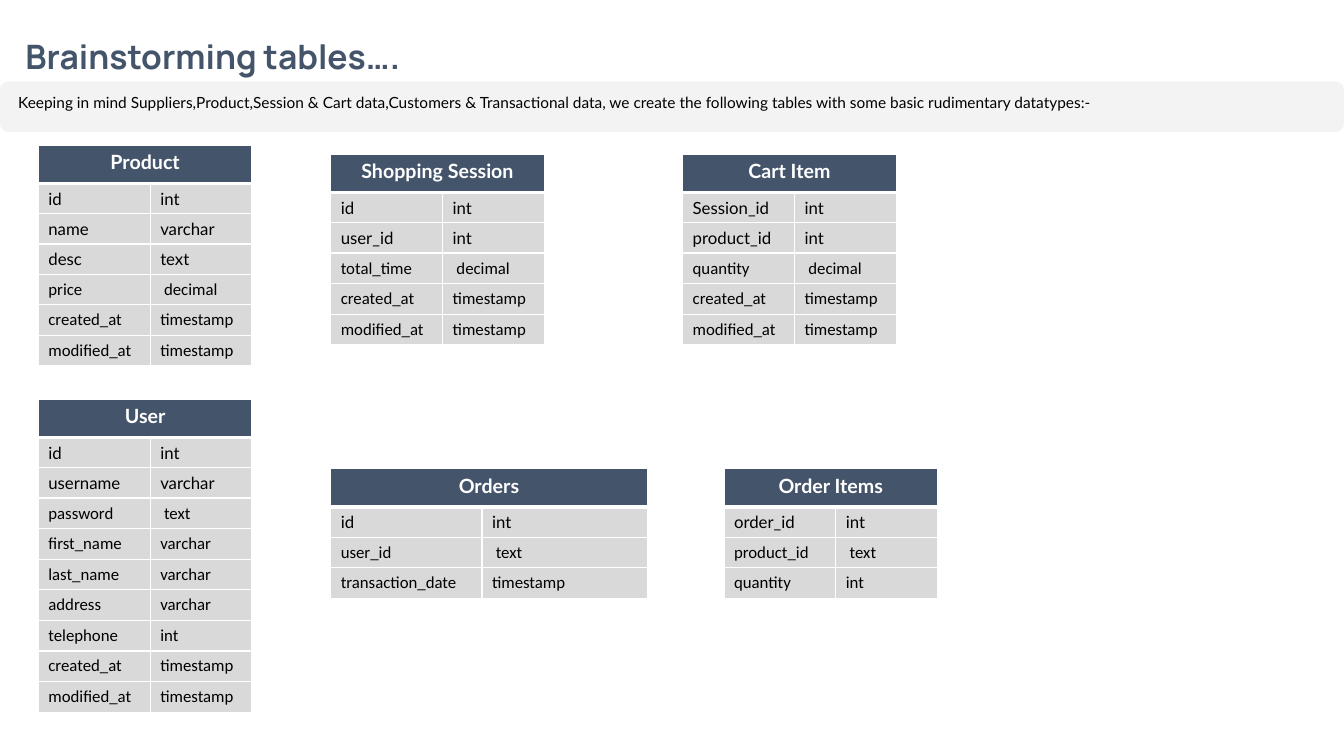
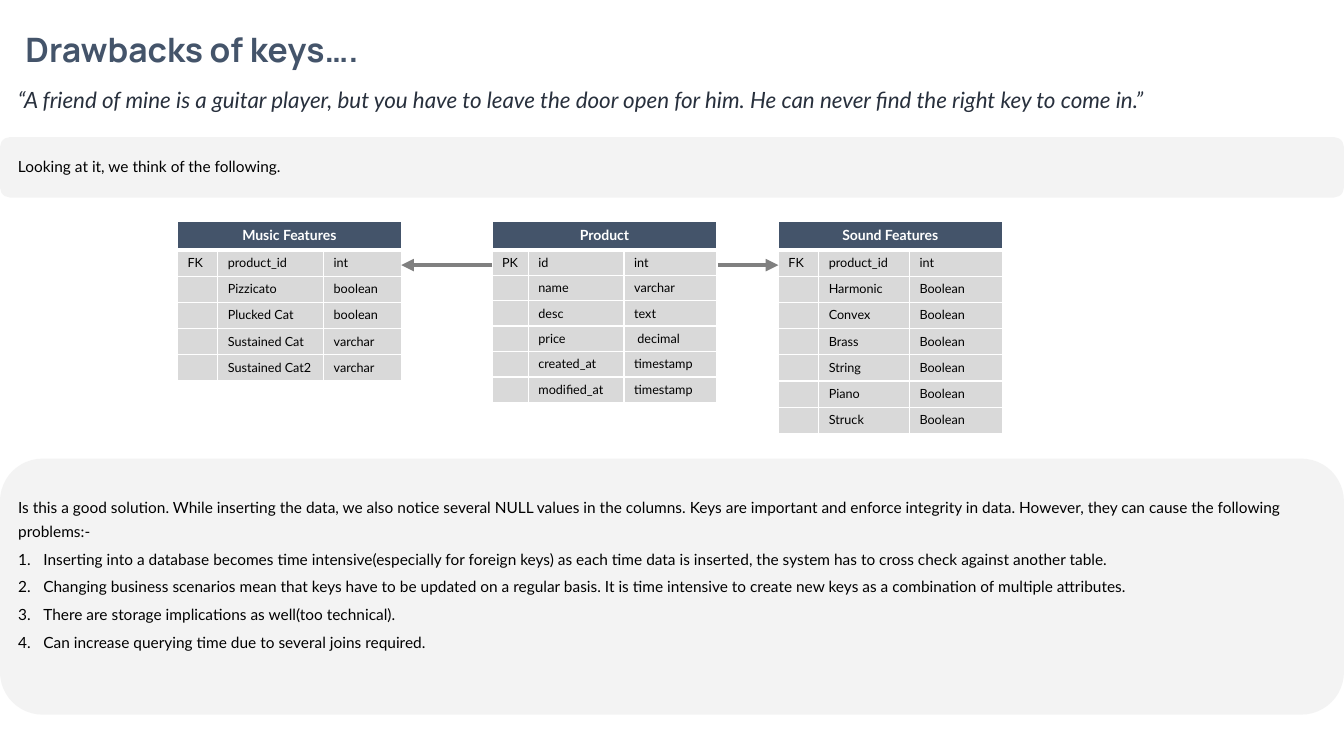
from itertools import accumulate
from lxml import etree
from pptx import Presentation
from pptx import util as u
from pptx.dml import color
from pptx.enum import shapes, text
from pptx.oxml import ns

INK, NAVY, GREY, ROD, WHITE = "000000", "44546A", "D9D9D9", "808080", "FFFFFF"
SANS, ALT = "Lato", "Calibri"
HEAD = dict(name="Manrope", size=u.Pt(24), bold=True)
BODY = dict(name=SANS, size=u.Pt(11))
QUOTE = dict(name=SANS, size=u.Pt(16), italic=True)

STAMPS = [("created_at", "timestamp"), ("modified_at", "timestamp")]
GOODS = [("id", "int"), ("name", "varchar"), ("desc", "text"),
         ("price", " decimal")] + STAMPS
PAIR = (1.11, 1.01)

# title, left, top, column widths, rows set in the main font, rows
DRAFTS = [
    ("Product", 0.38, 1.44, PAIR, 3, GOODS),
    ("Cart Item", 6.77, 1.53, PAIR, 2,
     [("Session_id", "int"), ("product_id", "int"),
      ("quantity", " decimal")] + STAMPS),
    ("Shopping Session", 3.28, 1.53, PAIR, 2,
     [("id", "int"), ("user_id", "int"),
      ("total_time", " decimal")] + STAMPS),
    ("User", 0.38, 3.96, PAIR, 2,
     [("id", "int"), ("username", "varchar"), ("password", " text"),
      ("first_name", "varchar"), ("last_name", "varchar"),
      ("address", "varchar"), ("telephone", "int")] + STAMPS),
    ("Order Items", 7.18, 4.65, PAIR, 1,
     [("order_id", "int"), ("product_id", " text"), ("quantity", "int")]),
    ("Orders", 3.28, 4.65, (1.5, 1.64), 1,
     [("id", "int"), ("user_id", " text"),
      ("transaction_date", "timestamp")]),
]

MUSIC = [("product_id", "int"), ("Pizzicato", "boolean"),
         ("Plucked Cat", "boolean"), ("Sustained Cat", "varchar"),
         ("Sustained Cat2", "varchar")]
SOUND = [("product_id", "int")] + [
    (name, "Boolean") for name in
    ("Harmonic", "Convex", "Brass", "String", "Piano", "Struck")]

# title, key, left, column widths, row height, rows
KEYED = [
    ("Product", "PK", 4.88, (0.36, 0.95, 0.92), 0.25, GOODS),
    ("Sound Features", "FK", 7.72, (0.4, 0.9, 0.92), 0.26, SOUND),
    ("Music Features", "FK", 1.76, (0.4, 1.05, 0.77), 0.26, MUSIC),
]
KEYTOP, KEYROW = 2.2, 2.63
ARROWS = [(7.12, 7.72), (4.88, 3.98)]

INTRO = ("Keeping in mind Suppliers,Product,Session & Cart data,Customers & "
         "Transactional data, we create the following tables with some basic "
         "rudimentary datatypes:-")
LEAD = "Looking at it, we think of the following."
JOKE = ("“A friend of mine is a guitar player, but you have to leave the door "
        "open for him. He can never find the right key to come in.”")
ISSUE = ("Is this a good solution. While inserting the data, we also notice "
         "several NULL values in the columns. Keys are important and enforce "
         "integrity in data. However, they can cause the following problems:-")
COSTS = [
    "Inserting into a database becomes time intensive(especially for foreign "
    "keys) as each time data is inserted, the system has to cross check "
    "against another table.",
    "Changing business scenarios mean that keys have to be updated on a "
    "regular basis. It is time intensive to create new keys as a combination "
    "of multiple attributes.",
    "There are storage implications as well(too technical).",
    "Can increase querying time due to several joins required.",
]


def rgb(code):
    return color.RGBColor.from_string(code)


def sub(node, tag, **attrs):
    return etree.SubElement(node, ns.qn("a:" + tag), **attrs)


def style(font, form, ink):
    for key, val in form.items():
        setattr(font, key, val)
    font.color.rgb = rgb(ink)


def place(shape, *box):
    for key, val in zip(("left", "top", "width", "height"), box):
        setattr(shape, key, u.Inches(val))


def write(frame, lines, form, ink, count=False, pitch=True):
    frame.word_wrap = True
    frame.auto_size = text.MSO_AUTO_SIZE.NONE
    for i, line in enumerate(lines):
        para = frame.paragraphs[0] if i == 0 else frame.add_paragraph()
        run = para.add_run()
        run.text = line
        style(run.font, form, ink)
        if pitch:
            para.line_spacing, para.space_before = u.Pt(17.5), u.Pt(2.2)
        props = para._p.get_or_add_pPr()
        dent = u.Inches(0.25) if count and i else 0
        props.set("marL", str(dent))
        props.set("indent", str(-dent))
        if dent:
            sub(props, "buAutoNum", type="arabicPeriod")
        else:
            sub(props, "buNone")


def start(deck, title, top, width):
    slide = deck.slides.add_slide(deck.slide_layouts[1])
    head = slide.shapes.title
    place(head, 0, top, width, 0.5)
    write(head.text_frame, [title], HEAD, NAVY, pitch=False)
    head.text_frame.word_wrap = False
    return slide


def band(slide, top, height):
    box = slide.shapes.add_shape(
        shapes.MSO_SHAPE.FLOWCHART_ALTERNATE_PROCESS,
        0, u.Inches(top), u.Inches(13.33), u.Inches(height))
    box.shadow.inherit = False
    box.fill.solid()
    box.fill.fore_color.rgb = rgb(GREY)
    tint = box.element.find(".//" + ns.qn("a:srgbClr"))
    sub(tint, "alpha", val="30000")
    box.line.fill.background()
    slide.shapes.element.insert(2, box.element)


def label(slide, box, line, form, ink, pitch=True):
    note = slide.shapes.add_textbox(*map(u.Inches, box))
    write(note.text_frame, [line], form, ink, pitch=pitch)


def edge(cell, row):
    props = cell._tc.get_or_add_tcPr()
    for side in "LRTB":
        thick = (row, side) in ((0, "B"), (1, "T"))
        line = sub(props, "ln" + side, w=str(u.Pt(3 if thick else 1)))
        sub(sub(line, "solidFill"), "srgbClr", val=WHITE)


def grid(slide, title, left, top, cols, rows, sizes, heads, main):
    full = [(title,) + ("",) * (len(cols) - 1)] + rows
    tall = [heads[0]] + [heads[1]] * len(rows)
    table = slide.shapes.add_table(
        len(full), len(cols), u.Inches(left), u.Inches(top),
        u.Inches(sum(cols)), u.Inches(sum(tall))).table
    for col, wide in zip(table.columns, cols):
        col.width = u.Inches(wide)
    table.cell(0, 0).merge(table.cell(0, len(cols) - 1))
    for r, line in enumerate(full):
        table.rows[r].height = u.Inches(tall[r])
        top_row = r == 0
        form = dict(name=SANS if r <= main else ALT,
                    size=u.Pt(sizes[0 if top_row else 1]), bold=top_row)
        for c, word in enumerate(line):
            cell = table.cell(r, c)
            edge(cell, r)
            cell.fill.solid()
            cell.fill.fore_color.rgb = rgb(NAVY if top_row else GREY)
            para = cell.text_frame.paragraphs[0]
            if top_row:
                para.alignment = text.PP_ALIGN.CENTER
            if word:
                run = para.add_run()
                run.text = word
                style(run.font, form, WHITE if top_row else INK)
            else:
                sub(para._p, "endParaRPr", sz=str(sizes[1] * 100))


def arrow(slide, start, end):
    rod = slide.shapes.add_connector(
        shapes.MSO_CONNECTOR.STRAIGHT,
        *map(u.Inches, (start, KEYROW, end, KEYROW)))
    rod.line.width = u.Pt(3)
    rod.line.color.rgb = rgb(ROD)
    props = rod.element.spPr
    sub(props.find(ns.qn("a:ln")), "tailEnd", type="triangle")
    sub(props, "effectLst")


deck = Presentation()
deck.slide_width, deck.slide_height = u.Inches(13.33), u.Inches(7.5)

ideas = start(deck, "Brainstorming tables….", 0.31, 4.22)
band(ideas, 0.81, 0.5)
body = ideas.placeholders[1]
place(body, 0.08, 0.81, 12.74, 0.61)
write(body.text_frame, [INTRO], BODY, INK)
for title, left, top, cols, main, rows in DRAFTS:
    grid(ideas, title, left, top, cols, rows, (14, 12), (0.38, 0.3), main)

keys = start(deck, "Drawbacks of keys….", 0.24, 3.81)
band(keys, 1.36, 0.6)
band(keys, 4.55, 2.54)
label(keys, (0.08, 0.81, 12.94, 0.37), JOKE, QUOTE, "28303D", pitch=False)
label(keys, (0.08, 1.45, 12.74, 0.32), LEAD, BODY, INK)
for title, key, left, cols, tall, rows in KEYED:
    marked = [("" if i else key,) + row for i, row in enumerate(rows)]
    grid(keys, title, left, KEYTOP, cols, marked, (10, 9), (0.28, tall),
         len(rows))
for ends in ARROWS:
    arrow(keys, *ends)
body = keys.placeholders[1]
place(body, 0.08, 4.83, 12.74, 1.73)
write(body.text_frame, [ISSUE] + COSTS, BODY, INK, count=True)

deck.save("out.pptx")
